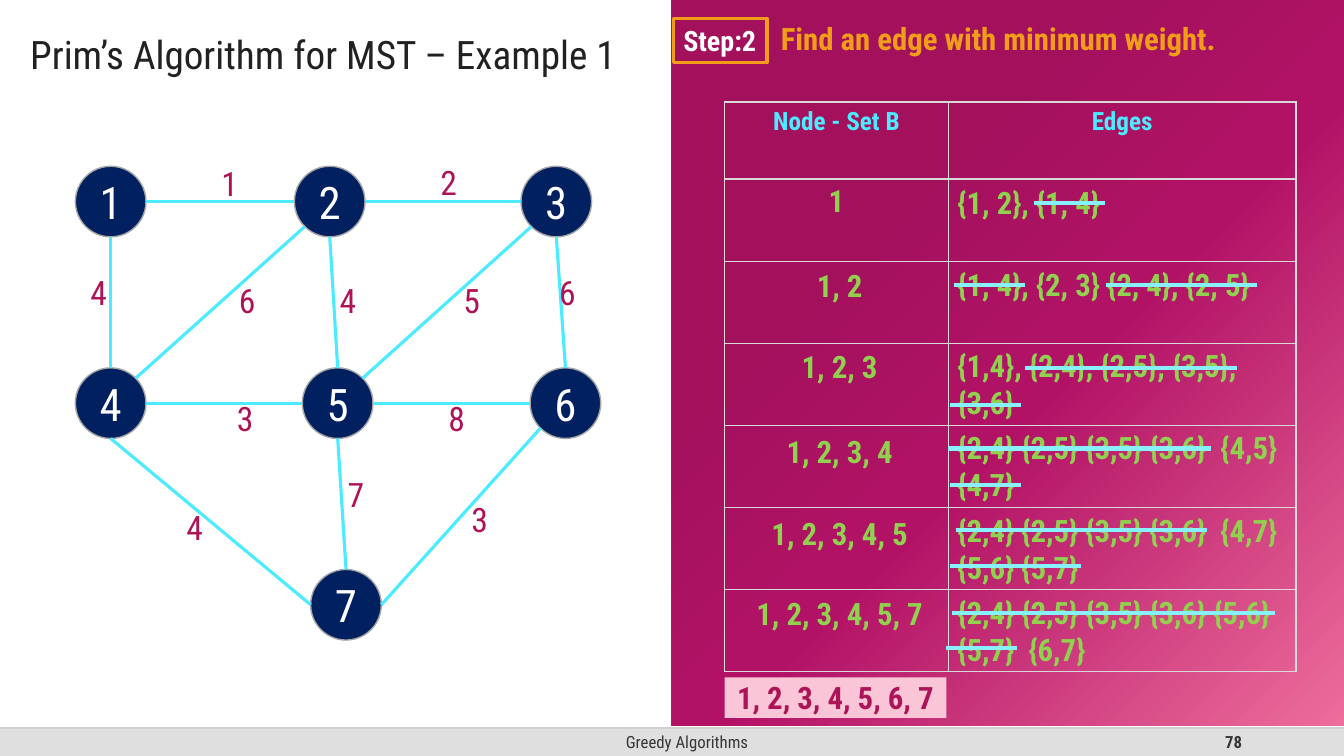
from math import cos, radians, sin

from pptx import Presentation
from pptx.dml.color import RGBColor
from pptx.enum.shapes import MSO_CONNECTOR as Line, MSO_SHAPE as Preset
from pptx.enum.text import MSO_ANCHOR as Anchor, MSO_AUTO_SIZE as AutoSize, PP_ALIGN as Align
from pptx.oxml import parse_xml
from pptx.oxml.ns import nsdecls
from pptx.oxml.xmlchemy import OxmlElement
from pptx.util import Cm, Pt

FONT = "Roboto Condensed"
WHITE = RGBColor(0xFF, 0xFF, 0xFF)
TITLE_INK = RGBColor(0x21, 0x21, 0x21)
FOOTER_INK = RGBColor(0x37, 0x37, 0x37)
FOOTER_BAR = RGBColor(0xDF, 0xDF, 0xDF)
FOOTER_RULE = RGBColor(0xBF, 0xBF, 0xBF)
NAVY = RGBColor(0x00, 0x20, 0x60)
NODE_RING = RGBColor(0xA6, 0xA6, 0xA6)
CYAN = RGBColor(0x4C, 0xEB, 0xFF)
STRIKE_CYAN = RGBColor(0x87, 0xF1, 0xFF)
BERRY = RGBColor(0xAD, 0x14, 0x57)
PINK = RGBColor(0xF9, 0xC5, 0xD7)
ORANGE = RGBColor(0xF1, 0x9D, 0x19)
GREEN = RGBColor(0x92, 0xD0, 0x50)
GRID = RGBColor(0xD9, 0xD9, 0xD9)
PANEL_STOPS = [(30, "A3115D"), (55, "B21266"), (100, "ED6D9B")]

DIAMETER = 1.78
TOP, LEFT, LOWER_LEFT, BOTTOM, RIGHT, UPPER_RIGHT = 0, 2, 3, 4, 6, 7
NODES = {"1": (2.79, 5.08), "2": (8.31, 5.08), "3": (14.02, 5.08),
         "4": (2.79, 10.16), "5": (8.51, 10.16), "6": (14.25, 10.16),
         "7": (8.72, 15.24)}
EDGES = [
    ("1", RIGHT, "2", LEFT, "1", 5.33, 3.99),
    ("2", RIGHT, "3", LEFT, "2", 10.85, 3.96),
    ("4", RIGHT, "5", LEFT, "3", 5.72, 9.91),
    ("5", RIGHT, "6", LEFT, "8", 11.05, 9.91),
    ("1", BOTTOM, "4", TOP, "4", 2.03, 6.73),
    ("2", BOTTOM, "5", TOP, "4", 8.31, 6.93),
    ("3", BOTTOM, "6", TOP, "6", 13.84, 6.73),
    ("4", UPPER_RIGHT, "2", LOWER_LEFT, "6", 5.77, 6.93),
    ("5", UPPER_RIGHT, "3", LOWER_LEFT, "5", 11.43, 6.93),
    ("6", LOWER_LEFT, "7", RIGHT, "3", 11.63, 12.45),
    ("4", BOTTOM, "7", LEFT, "4", 4.45, 12.65),
    ("5", BOTTOM, "7", TOP, "7", 8.51, 11.81),
]
SET_CENTER = 21.16
NODE_SETS = [("1, 2", 6.6, 3.56), ("1, 2, 3", 8.64, 3.56), ("1, 2, 3, 4", 10.77, 3.56),
             ("1, 2, 3, 4, 5", 12.85, 4.06), ("1, 2, 3, 4, 5, 7", 14.86, 4.83)]
CANDIDATES = [
    ("{1, 2}, {1, 4}", 4.5, 4.32, 1.19, [(26.06, 27.84, 5.11)]),
    ("{1, 4}, {2, 3} {2, 4}, {2, 5}", 6.58, 8.71, 1.19,
     [(24.05, 25.83, 7.19), (27.86, 31.67, 7.19)]),
    ("{1,4}, {2,4}, {2,5}, {3,5}, {3,6}", 8.61, 8.64, 2.13,
     [(25.83, 31.17, 9.27), (23.95, 25.73, 10.21)]),
    ("{2,4} {2,5} {3,5} {3,6}  {4,5} {4,7}", 10.67, 8.74, 2.13,
     [(23.9, 30.51, 11.3), (23.95, 25.73, 12.22)]),
    ("{2,4} {2,5} {3,5} {3,6}  {4,7} {5,6} {5,7}", 12.78, 8.66, 2.13,
     [(24.08, 30.43, 13.36), (23.95, 27.25, 14.27)]),
    ("{2,4} {2,5} {3,5} {3,6} {5,6} {5,7}  {6,7}", 14.83, 8.64, 2.03,
     [(24, 32.13, 15.44), (23.85, 25.63, 16.33)]),
]


class SlideBuilder:
    def __init__(self, slide):
        self.slide = slide
        self.shapes = slide.shapes

    def add_words(self, frame, text, size, color, bold=False, align=Align.LEFT):
        paragraph = frame.paragraphs[0]
        paragraph.alignment = align
        run = paragraph.add_run()
        run.text = text
        run.font.name = FONT
        run.font.size = Pt(size)
        run.font.bold = bold
        run.font.color.rgb = color
        return paragraph

    def title(self, text, x, y, w, h):
        heading = self.shapes.title
        heading.left, heading.top, heading.width, heading.height = Cm(x), Cm(y), Cm(w), Cm(h)
        frame = heading.text_frame
        frame.word_wrap = True
        frame.auto_size = AutoSize.NONE
        frame.vertical_anchor = Anchor.MIDDLE
        frame.margin_left = Cm(0.76)
        self.add_words(frame, text, 28, TITLE_INK).line_spacing = 1.5

    def text(self, text, x, y, w, h, size=22, color=GREEN, bold=True,
             align=Align.LEFT, anchor=Anchor.TOP):
        frame = self.shapes.add_textbox(Cm(x), Cm(y), Cm(w), Cm(h)).text_frame
        frame.word_wrap = True
        frame.vertical_anchor = anchor
        self.add_words(frame, text, size, color, bold, align)

    def shape(self, preset, x, y, w, h, fill=None, line=None, weight=1):
        shape = self.shapes.add_shape(preset, Cm(x), Cm(y), Cm(w), Cm(h))
        shape.shadow.inherit = False
        if fill is None:
            shape.fill.background()
        else:
            shape.fill.solid()
            shape.fill.fore_color.rgb = fill
        if line is None:
            shape.line.fill.background()
        else:
            shape.line.color.rgb = line
            shape.line.width = Pt(weight)
        shape.text_frame.vertical_anchor = Anchor.MIDDLE
        return shape

    def gradient_panel(self, x, y, w, h):
        properties = self.shape(Preset.RECTANGLE, x, y, w, h)._element.spPr
        stops = "".join(f'<a:gs pos="{pos * 1000}"><a:srgbClr val="{color}"/></a:gs>'
                        for pos, color in PANEL_STOPS)
        gradient = parse_xml(
            f'<a:gradFill {nsdecls("a")} rotWithShape="1"><a:gsLst>{stops}</a:gsLst>'
            '<a:path path="circle"><a:fillToRect r="100000" b="100000"/></a:path></a:gradFill>')
        properties.replace(properties.find("{*}noFill"), gradient)

    def line(self, start, end, color, weight, opacity=100):
        ends = [Cm(value) for value in (*start, *end)]
        line = self.shapes.add_connector(Line.STRAIGHT, *ends)
        line.line.color.rgb = color
        line.line.width = Pt(weight)
        properties = line._element.spPr
        if opacity < 100:
            alpha = OxmlElement("a:alpha")
            alpha.set("val", str(opacity * 1000))
            properties.find(".//{*}srgbClr").append(alpha)
        properties.append(OxmlElement("a:effectLst"))

    def node(self, name, center):
        x, y = (value - DIAMETER / 2 for value in center)
        circle = self.shape(Preset.OVAL, x, y, DIAMETER, DIAMETER, NAVY, NODE_RING)
        self.add_words(circle.text_frame, name, 32, WHITE, align=Align.CENTER)

    def rim(self, name, site):
        x, y = NODES[name]
        angle = radians(90 + 45 * site)
        return x + DIAMETER / 2 * cos(angle), y - DIAMETER / 2 * sin(angle)

    def table(self, x, y, widths, heights, entries):
        grid = self.shapes.add_table(len(heights), len(widths), Cm(x), Cm(y),
                                     Cm(sum(widths)), Cm(sum(heights))).table
        grid.first_row = grid.horz_banding = False
        for column, width in zip(grid.columns, widths):
            column.width = Cm(width)
        for row, height in zip(grid.rows, heights):
            row.height = Cm(height)
        for cell in grid.iter_cells():
            properties = cell._tc.get_or_add_tcPr()
            for side in "LRTB":
                properties.append(parse_xml(
                    f'<a:ln{side} {nsdecls("a")} w="{Pt(1)}"><a:solidFill>'
                    f'<a:srgbClr val="{GRID}"/></a:solidFill></a:ln{side}>'))
            cell.fill.background()
        for row, column, text, size, color in entries:
            self.add_words(grid.cell(row, column).text_frame, text, size, color, True,
                           Align.CENTER)


def main():
    deck = Presentation()
    deck.slide_width, deck.slide_height = Cm(33.87), Cm(19.05)
    prim = SlideBuilder(deck.slides.add_slide(deck.slide_layouts[5]))

    prim.shape(Preset.RECTANGLE, 0, 18.34, 33.87, 0.71, FOOTER_BAR)
    prim.text("Greedy Algorithms", 11.23, 18.34, 12.17, 0.71, 12, FOOTER_INK, False,
              Align.CENTER, Anchor.MIDDLE)
    prim.text("78", 23.93, 18.34, 7.62, 0.71, 12, FOOTER_INK, True, Align.RIGHT, Anchor.MIDDLE)
    prim.line((0, 18.34), (33.87, 18.34), FOOTER_RULE, 1, opacity=70)
    prim.gradient_panel(16.93, 0, 16.94, 18.29)
    prim.title("Prim’s Algorithm for MST – Example 1", 0, 0.03, 17.27, 2.06)

    for name, center in NODES.items():
        prim.node(name, center)
    for start, start_site, end, end_site, weight, x, y in EDGES:
        prim.line(prim.rim(start, start_site), prim.rim(end, end_site), CYAN, 2.25)
        prim.text(weight, x, y, 1.02, 1.27, 24, BERRY, False)

    step = prim.shape(Preset.RECTANGLE, 16.97, 0.46, 2.36, 1.12, line=ORANGE, weight=2.25)
    step.text_frame.word_wrap = False
    prim.add_words(step.text_frame, "Step:2", 20, WHITE, True)
    prim.text("Find an edge with minimum weight.", 19.43, 0.38, 14.22, 1.19,
              color=ORANGE, align=Align.JUSTIFY)

    prim.table(18.26, 2.57, [5.64, 8.76], [1.94] + [2.07] * 6,
               [(0, 0, "Node - Set B", 18, CYAN), (0, 1, "Edges", 18, CYAN),
                (1, 0, "1", 22, GREEN)])
    for members, y, width in NODE_SETS:
        prim.text(members, SET_CENTER - width / 2, y, width, 1.19, align=Align.CENTER)
    for edges, y, width, height, strikes in CANDIDATES:
        prim.text(edges, 23.88, y, width, height)
        for x1, x2, strike_y in strikes:
            prim.line((x1, strike_y), (x2, strike_y), STRIKE_CYAN, 3)

    result = prim.shape(Preset.RECTANGLE, 18.26, 17.07, 5.59, 1.02, PINK)
    prim.add_words(result.text_frame, "1, 2, 3, 4, 5, 6, 7", 22, BERRY, True, Align.CENTER)

    deck.save("out.pptx")


if __name__ == "__main__":
    main()
